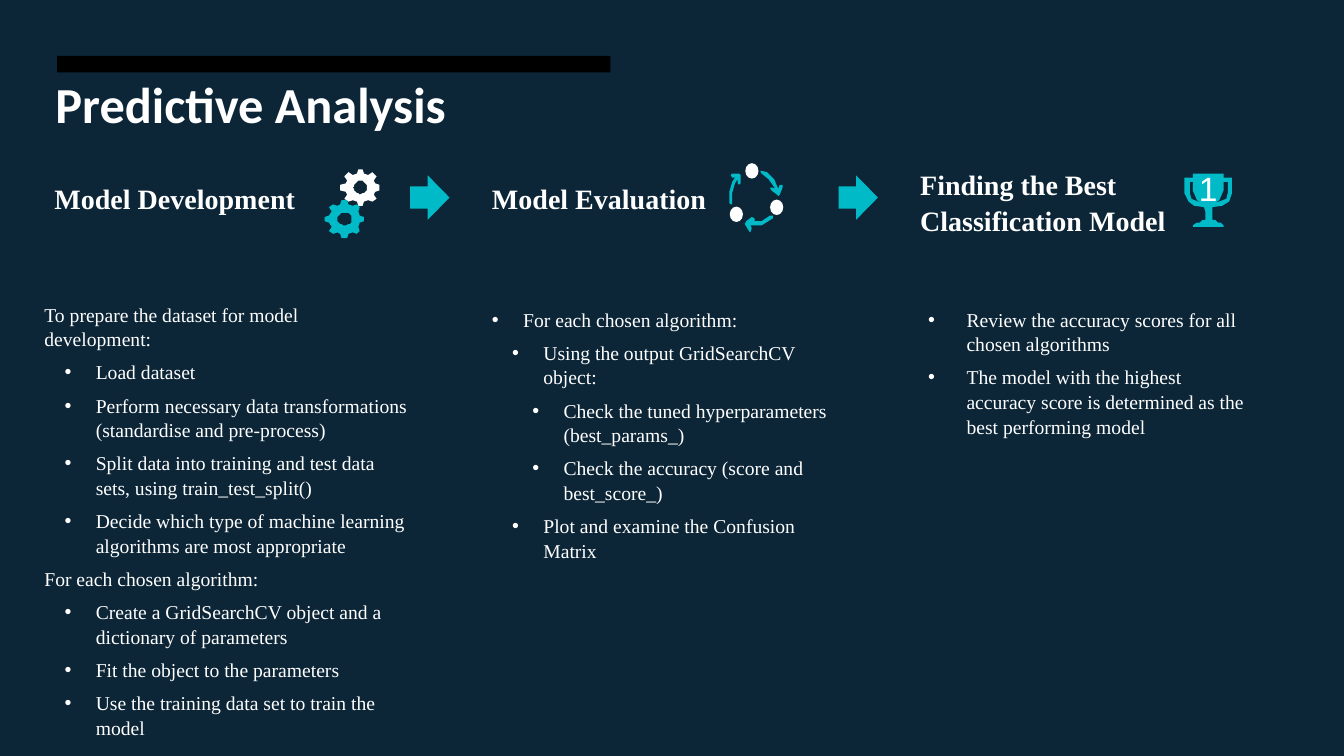
from math import cos, radians, sin

from lxml.etree import SubElement
from pptx import Presentation
from pptx.dml.color import RGBColor
from pptx.enum.shapes import MSO_SHAPE as Shape
from pptx.enum.text import MSO_ANCHOR as Anchor, MSO_AUTO_SIZE as AutoSize, PP_ALIGN as Align
from pptx.oxml.ns import qn
from pptx.util import Pt

NAVY = RGBColor(0x0C, 0x26, 0x38)
TEAL = RGBColor(0x00, 0xBA, 0xC8)
WHITE = RGBColor(0xFF, 0xFF, 0xFF)
BLACK = RGBColor(0x00, 0x00, 0x00)
SERIF = "Times New Roman"
COMPARISON_LAYOUT = 4

# Each list item: (text, bullet level), with None for a plain line.
DEVELOPMENT = [
    ("To prepare the dataset for model development:", None),
    ("Load dataset", 1),
    ("Perform necessary data transformations (standardise and pre-process)", 1),
    ("Split data into training and test data sets, using train_test_split()", 1),
    ("Decide which type of machine learning algorithms are most appropriate", 1),
    ("For each chosen algorithm:", None),
    ("Create a GridSearchCV object and a dictionary of parameters", 1),
    ("Fit the object to the parameters", 1),
    ("Use the training data set to train the model", 1),
]
EVALUATION = [
    ("For each chosen algorithm:", 0),
    ("Using the output GridSearchCV object:", 1),
    ("Check the tuned hyperparameters (best_params_)", 2),
    ("Check the accuracy (score and best_score_)", 2),
    ("Plot and examine the Confusion Matrix", 1),
]
BEST_MODEL = [
    ("Review the accuracy scores for all chosen algorithms", 0),
    ("The model with the highest accuracy score is determined as the best performing model", 0),
]

CYCLE_ARROWS = [
    [(543.6, 123.8), (549.2, 128.3), (553.7, 135.4), (551.5, 133.9), (550.1, 133.9),
     (550.8, 136.1), (555.1, 139), (555.8, 139.7), (556.6, 139), (559.4, 133.9),
     (558.7, 131.8), (557.3, 132.5), (555.8, 134.6), (553.3, 127.8), (547.9, 123.1),
     (544.3, 121.7), (542.9, 122.4)],
    [(521.3, 144.7), (522, 146.2), (522.7, 146.2), (523.4, 144), (523.1, 137.5),
     (524.9, 131), (527, 128.2), (527, 131), (527.8, 132.5), (529.2, 131),
     (529.2, 125.3), (527.8, 123.8), (522.7, 123.8), (522, 125.3), (522.7, 126.7),
     (524.9, 126.7), (522.7, 129.6), (520.6, 136.8)],
    [(550.1, 154.1), (543.6, 158.4), (536.4, 158.4), (538.6, 157.7), (538.6, 155.5),
     (537.1, 154.8), (532.8, 157.7), (532.1, 159.8), (535, 164.9), (536.4, 165.6),
     (537.1, 163.4), (535.7, 161.3), (544, 160.6), (551.5, 156.2), (551.5, 154.1)],
]
CYCLE_DOTS = [(521.3, 147.6), (550.1, 142.6), (532.4, 116.6)]

# Right half of the trophy: distance from its axis, and y.
CUP_HALF = [(10.8, 123.8), (10.8, 126.7), (16.8, 126.7), (16.8, 137.5), (14.4, 144),
            (10, 146.9), (2.9, 148.3), (2.2, 151.2), (2.2, 157), (4.3, 157),
            (6.5, 159.1), (8.6, 159.1), (10.8, 161.3), (10.8, 162)]
HANDLE_HALF = [(13.7, 129.6), (13.7, 137.5), (12.2, 141.8), (5, 145.4),
               (7.9, 142.6), (10.8, 136.1), (10.8, 129.6)]


class Deck:
    def __init__(self):
        self.presentation = Presentation()
        self.presentation.slide_width = Pt(960)
        self.presentation.slide_height = Pt(540)
        self.slide = self.presentation.slides.add_slide(
            self.presentation.slide_layouts[COMPARISON_LAYOUT])
        self.slide.background.fill.solid()
        self.slide.background.fill.fore_color.rgb = NAVY

    def frame(self, box, placeholder=None, anchor=Anchor.TOP, inset=(7.2, 3.6)):
        """Place a placeholder, or a text box if none is named, and return its text frame."""
        left, top, width, height = (Pt(length) for length in box)
        if placeholder is None:
            holder = self.slide.shapes.add_textbox(left, top, width, height)
        else:
            holder = self.slide.placeholders[placeholder]
            holder.left, holder.top, holder.width, holder.height = left, top, width, height
        text = holder.text_frame
        text.word_wrap, text.auto_size, text.vertical_anchor = True, AutoSize.NONE, anchor
        text.margin_left = text.margin_right = Pt(inset[0])
        text.margin_top = text.margin_bottom = Pt(inset[1])
        return text

    def style(self, paragraph, size, font=SERIF, bold=False, align=Align.LEFT, after=6, spacing=1.05):
        paragraph.alignment = align
        paragraph.space_before, paragraph.space_after = Pt(0), Pt(after)
        paragraph.line_spacing = spacing
        paragraph.font.name, paragraph.font.size = font, Pt(size)
        paragraph.font.bold, paragraph.font.color.rgb = bold, WHITE

    def bullet(self, paragraph, level, hanging):
        properties = paragraph._p.get_or_add_pPr()
        if level is None:
            properties.set("marL", "0")
            properties.set("indent", "0")
            SubElement(properties, qn("a:buNone"))
            return
        paragraph.level = level
        properties.set("marL", str(Pt(hanging + 14.4 * level)))
        properties.set("indent", str(-Pt(hanging)))
        SubElement(properties, qn("a:buFont")).set("typeface", "Arial")
        SubElement(properties, qn("a:buChar")).set("char", "•")

    def title(self, text, box):
        frame = self.frame(box, 0, Anchor.MIDDLE)
        frame.text = text
        self.style(frame.paragraphs[0], 36, "Calibri", True, after=0, spacing=1)

    def heading(self, text, box, placeholder=None, anchor=Anchor.MIDDLE):
        frame = self.frame(box, placeholder, anchor)
        frame.text = text
        self.bullet(frame.paragraphs[0], None, 0)
        self.style(frame.paragraphs[0], 20, bold=True)

    def steps(self, items, box, placeholder=None, hanging=22.3, inset=(7.2, 3.6)):
        frame = self.frame(box, placeholder, inset=inset)
        frame.text = "\n".join(text for text, _ in items)
        for paragraph, (_, level) in zip(frame.paragraphs, items):
            self.bullet(paragraph, level, hanging)
            self.style(paragraph, 14)

    def paint(self, shape, color):
        shape.shadow.inherit = False
        shape.fill.solid()
        shape.fill.fore_color.rgb = color
        shape.line.fill.background()
        return shape

    def preset(self, kind, box, color):
        return self.paint(self.slide.shapes.add_shape(kind, *(Pt(length) for length in box)), color)

    def outline(self, contours, color):
        """Draw one filled shape; contours after the first are further parts or holes."""
        first, *others = contours
        builder = self.slide.shapes.build_freeform(*first[0], scale=Pt(1))
        builder.add_line_segments(first[1:])
        for contour in others:
            builder.move_to(*contour[0])
            builder.add_line_segments(contour[1:])
        return self.paint(builder.convert_to_shape(), color)

    def gear(self, x, y, color):
        def at(angle, rx, ry):
            return x + rx * cos(radians(angle)), y + ry * sin(radians(angle))

        rim = [at(45 * tooth + turn, rx, ry) for tooth in range(8)
               for turn, rx, ry in ((-15, 11.2, 10.7), (-7, 14.1, 13.2),
                                    (7, 14.1, 13.2), (15, 11.2, 10.7))]
        hole = [at(-angle, 5, 4.7) for angle in range(0, 360, 15)]
        self.outline([rim, hole], color)

    def trophy(self, axis):
        def side(half, sign):
            return [(axis + sign * dx, y) for dx, y in half]

        cup = side(CUP_HALF, 1) + side(CUP_HALF, -1)[::-1]
        shape = self.outline([cup, side(HANDLE_HALF, 1)[::-1], side(HANDLE_HALF, -1)], TEAL)
        frame = shape.text_frame
        frame.vertical_anchor = Anchor.MIDDLE
        frame.margin_left = frame.margin_right = frame.margin_top = 0
        frame.margin_bottom = Pt(17.3)
        frame.text = "1"
        self.style(frame.paragraphs[0], 24, "Arial", align=Align.CENTER, after=0, spacing=1)


def main():
    deck = Deck()
    deck.preset(Shape.RECTANGLE, (40.8, 40, 395.3, 11.7), BLACK)
    deck.title("Predictive Analysis", (32.4, 41, 864.7, 66.2))

    deck.heading("Model Development", (31.7, 108.7, 272.2, 64), 1)
    deck.steps(DEVELOPMENT, (31.7, 215.3, 259.5, 275.8), 2, inset=(0, 0))
    deck.heading("Model Evaluation", (344.2, 112.3, 200.9, 57.6), 3)
    deck.steps(EVALUATION, (344.2, 215.3, 254.9, 275.8), 4)
    deck.heading("Finding the Best Classification Model", (650.2, 115.2, 230.4, 35.3),
                 anchor=Anchor.TOP)
    deck.steps(BEST_MODEL, (655.9, 215.3, 243.4, 275.8), hanging=27.4)

    for left in (293, 599):
        arrow = deck.preset(Shape.RIGHT_ARROW, (left, 125.3, 28.1, 31.7), TEAL)
        arrow.adjustments[1] = 0.553

    deck.gear(257.4, 133.9, WHITE)
    deck.gear(246.2, 156.4, TEAL)
    for contour in CYCLE_ARROWS:
        deck.outline([contour], TEAL)
    for x, y in CYCLE_DOTS:
        deck.preset(Shape.OVAL, (x, y, 9.4, 11), WHITE)
    deck.trophy(863.3)

    deck.presentation.save("out.pptx")


if __name__ == "__main__":
    main()
